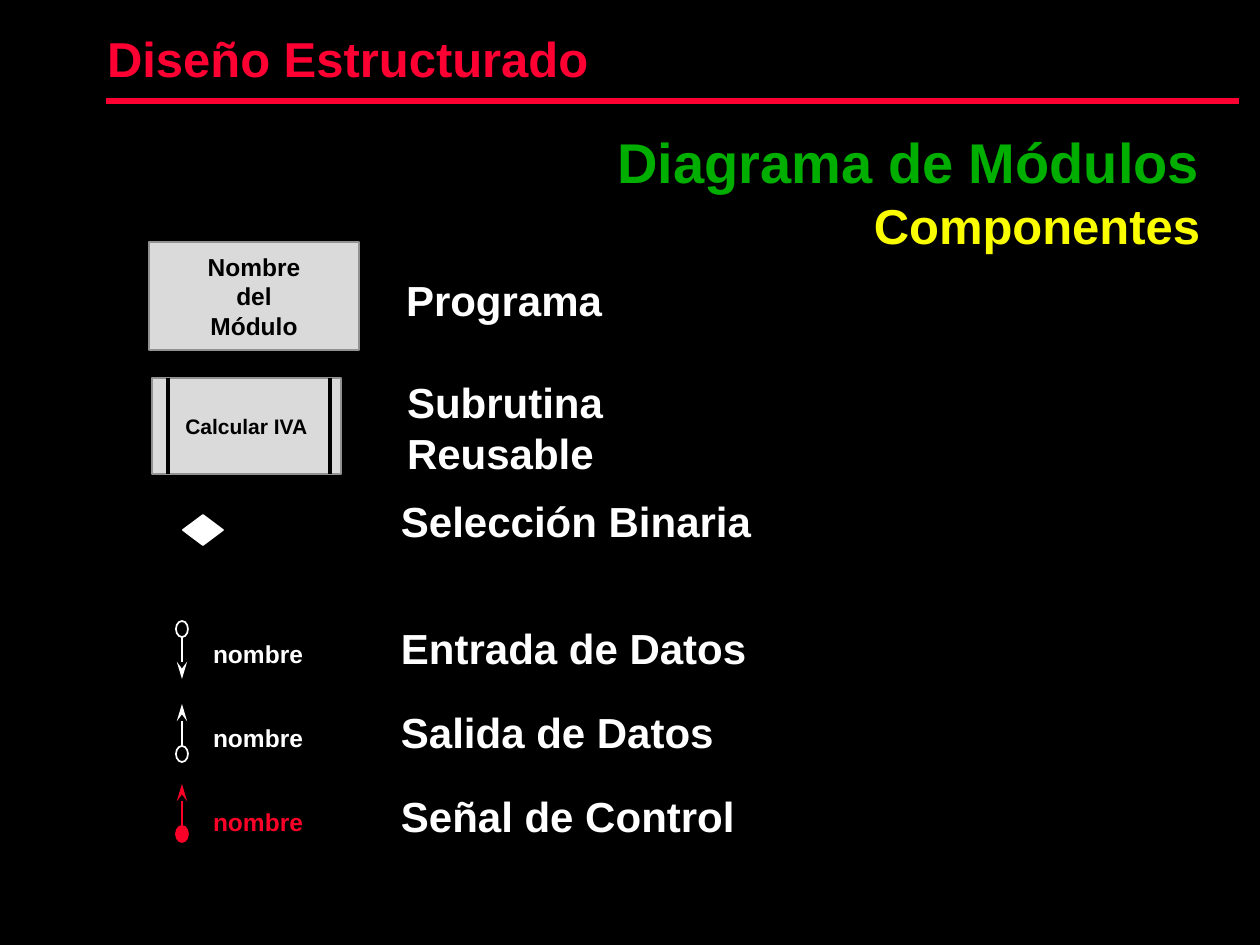
from lxml.etree import SubElement
from pptx import Presentation
from pptx.dml.color import RGBColor
from pptx.enum.shapes import MSO_CONNECTOR, MSO_SHAPE
from pptx.enum.text import MSO_ANCHOR, PP_ALIGN
from pptx.oxml.ns import qn
from pptx.util import Pt

EMU_PER_PX = 914400 / 126
FONT = "Arial"
COLORS = {
    "background": "000000",
    "title": "FF0033",
    "heading": "00AE00",
    "subheading": "FAFD00",
    "text": "FFFFFF",
    "module": "DADADA",
    "module_line": "919191",
    "module_text": "000000",
    "control": "FC0128",
}


def px(value):
    return round(value * EMU_PER_PX)


def rgb(name):
    return RGBColor.from_string(COLORS[name])


def write(shape, paragraphs, anchor=MSO_ANCHOR.TOP, align=PP_ALIGN.LEFT, inset=10):
    """Fill a shape with (text, size, color) paragraphs."""
    frame = shape.text_frame
    frame.word_wrap = True
    frame.vertical_anchor = anchor
    frame.margin_left = frame.margin_right = px(inset)
    frame.margin_top = frame.margin_bottom = px(inset // 2)
    frame.text = "\n".join(text for text, _, _ in paragraphs)
    for paragraph, (_, size, color) in zip(frame.paragraphs, paragraphs):
        paragraph.alignment = align
        font = paragraph.runs[0].font
        font.name, font.size, font.bold = FONT, Pt(size), True
        font.color.rgb = rgb(color)


def add_text(slide, box, paragraphs, **layout):
    write(slide.shapes.add_textbox(*map(px, box)), paragraphs, **layout)


def add_label(slide, box, text):
    add_text(slide, box, [(text, 24, "text")])


def add_figure(slide, kind, box, fill, line):
    shape = slide.shapes.add_shape(kind, *map(px, box))
    shape.shadow.inherit = False
    if fill:
        shape.fill.solid()
        shape.fill.fore_color.rgb = rgb(fill)
    else:
        shape.fill.background()
    shape.line.color.rgb = rgb(line)
    shape.line.width = Pt(1)
    return shape


def add_line(slide, start, end, color, width, arrow=False):
    line = slide.shapes.add_connector(
        MSO_CONNECTOR.STRAIGHT, *map(px, (*start, *end)))
    line.line.color.rgb = rgb(color)
    line.line.width = Pt(width)
    if arrow:
        SubElement(line.line._get_or_add_ln(), qn("a:tailEnd"),
                   type="stealth", w="med", len="lg")
    SubElement(line._element.spPr, qn("a:effectLst"))


def add_header(slide, box):
    left, top, width, height = box
    add_text(slide, (left, top, 861, height),
             [("Diseño Estructurado", 28, "title")],
             anchor=MSO_ANCHOR.MIDDLE, inset=13)
    add_line(slide, (left + 12, top + 106), (left + width, top + 106), "title", 3)


def add_heading(slide, box):
    add_text(slide, box, [("Diagrama de Módulos", 32, "heading"),
                          ("Componentes", 28, "subheading")],
             align=PP_ALIGN.RIGHT, inset=13)


def add_module(slide, box, lines, size):
    module = add_figure(slide, MSO_SHAPE.RECTANGLE, box, "module", "module_line")
    write(module, [(line, size, "module_text") for line in lines],
          anchor=MSO_ANCHOR.MIDDLE, align=PP_ALIGN.CENTER)


def add_subroutine(slide, box, name):
    """Draw a module with a vertical bar near each side."""
    add_module(slide, box, [name], 12)
    left, top, _, height = box
    for bar in (left + 16, left + 178):
        add_line(slide, (bar, top + height), (bar, top), "background", 2)


def add_flow(slide, box, color, upward, filled):
    """Draw an arrow that starts at a small circle."""
    left, top, width, height = box
    circle_height = 16
    middle = left + width // 2
    if upward:
        circle_top = top + height - circle_height
        start, end = circle_top, top
    else:
        circle_top = top
        start, end = top + circle_height, top + height
    add_line(slide, (middle, start), (middle, end), color, 1, arrow=True)
    add_figure(slide, MSO_SHAPE.OVAL, (left, circle_top, width, circle_height),
               color if filled else None, color)


def add_flow_rows(slide, box):
    left, top, width, row_height = box
    label_width = 380
    rows = [
        ("Entrada de Datos", 3, "text", False, False),
        ("Salida de Datos", 2, "text", True, False),
        ("Señal de Control", -2, "control", True, True),
    ]
    for index, (label, offset, color, upward, filled) in enumerate(rows):
        row_top = top + index * row_height
        add_flow(slide, (left, row_top + offset, 12, 58), color, upward, filled)
        add_text(slide, (left + 24, row_top + 15, 130, 42),
                 [("nombre", 14, color)], inset=13)
        add_label(slide, (left + width - label_width, row_top, label_width, 60), label)


def main():
    presentation = Presentation()
    presentation.slide_width, presentation.slide_height = px(1260), px(945)
    slide = presentation.slides.add_slide(presentation.slide_layouts[6])
    slide.background.fill.solid()
    slide.background.fill.fore_color.rgb = rgb("background")

    add_header(slide, (94, -5, 1145, 126))
    add_heading(slide, (592, 122, 621, 139))

    add_module(slide, (149, 242, 210, 108), ["Nombre", "del", "Módulo"], 14)
    add_label(slide, (396, 270, 230, 60), "Programa")

    add_subroutine(slide, (152, 378, 189, 96), "Calcular IVA")
    add_label(slide, (397, 372, 243, 111), "Subrutina Reusable")

    add_figure(slide, MSO_SHAPE.DIAMOND, (183, 515, 40, 30), "text", "text")
    add_label(slide, (391, 491, 390, 60), "Selección Binaria")

    add_flow_rows(slide, (176, 618, 595, 84))
    presentation.save("out.pptx")


if __name__ == "__main__":
    main()
